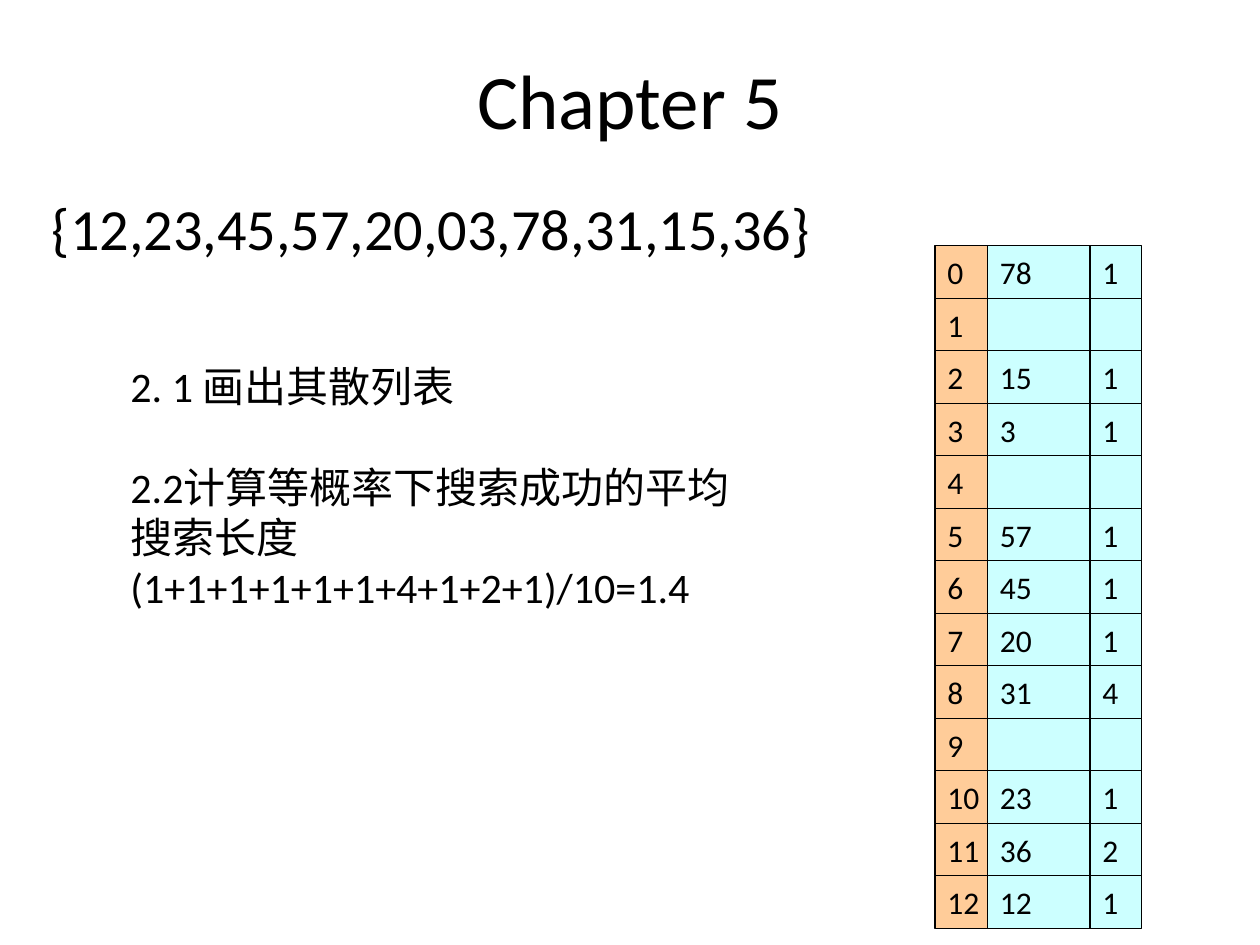
from dataclasses import dataclass

import pptx
import pptx.dml.color
import pptx.enum.shapes
import pptx.enum.text
import pptx.presentation
import pptx.shapes.group
import pptx.slide
import pptx.text.text
import pptx.util

Pt = pptx.util.Pt
PP_ALIGN = pptx.enum.text.PP_ALIGN
MSO_ANCHOR = pptx.enum.text.MSO_ANCHOR

BLACK = pptx.dml.color.RGBColor(0x00, 0x00, 0x00)
ORANGE = pptx.dml.color.RGBColor(0xFF, 0xCC, 0x99)
CYAN = pptx.dml.color.RGBColor(0xCC, 0xFF, 0xFF)

FONT = "Calibri"
TABLE_TOP = 140.5
ROW_HEIGHT = 30


@dataclass(frozen=True)
class TextBlock:
    left: float
    top: float
    width: float
    height: float
    size: float
    lines: tuple[str, ...]
    align: PP_ALIGN = PP_ALIGN.LEFT
    anchor: MSO_ANCHOR = MSO_ANCHOR.TOP


@dataclass(frozen=True)
class Column:
    left: float
    width: float
    fill: pptx.dml.color.RGBColor
    entries: tuple[str, ...]


TEXT_BLOCKS = (
    TextBlock(36, 11.5, 648, 90, 44, ("Chapter 5",), PP_ALIGN.CENTER, MSO_ANCHOR.MIDDLE),
    TextBlock(22.5, 106.5, 472, 50, 33.3, ("{12,23,45,57,20,03,78,31,15,36}",)),
    TextBlock(67.5, 202.5, 211, 36, 24, ("2. 1 画出其散列表",)),
    TextBlock(67.5, 260, 376.5, 93.5, 24,
              ("2.2计算等概率下搜索成功的平均搜索长度", "(1+1+1+1+1+1+4+1+2+1)/10=1.4")),
)

INDEX_COLUMN = Column(534.3, 30, ORANGE, tuple(str(slot) for slot in range(13)))
KEY_COLUMN = Column(564.3, 60, CYAN, ("78", "", "15", "3", "", "57", "45", "20",
                                      "31", "", "23", "36", "12"))
PROBE_COLUMN = Column(622.8, 29.5, CYAN, ("1", "", "1", "1", "", "1", "1", "1",
                                          "4", "", "1", "2", "1"))


def write_line(para: pptx.text.text._Paragraph, line: str, size: float, align: PP_ALIGN) -> None:
    para.text = line
    para.alignment = align
    para.font.name = FONT
    para.font.size = Pt(size)
    para.font.color.rgb = BLACK


def add_text(page: pptx.slide.Slide, block: TextBlock) -> None:
    box = page.shapes.add_textbox(Pt(block.left), Pt(block.top), Pt(block.width), Pt(block.height))
    frame = box.text_frame
    frame.word_wrap = True
    frame.vertical_anchor = block.anchor
    for number, line in enumerate(block.lines):
        para = frame.add_paragraph() if number else frame.paragraphs[0]
        write_line(para, line, block.size, block.align)


def add_column(group: pptx.shapes.group.GroupShape, column: Column) -> None:
    for row, entry in enumerate(column.entries):
        cell = group.shapes.add_shape(
            pptx.enum.shapes.MSO_SHAPE.RECTANGLE, Pt(column.left),
            Pt(TABLE_TOP + row * ROW_HEIGHT), Pt(column.width), Pt(ROW_HEIGHT))
        cell.shadow.inherit = False
        cell.fill.solid()
        cell.fill.fore_color.rgb = column.fill
        cell.line.color.rgb = BLACK
        cell.line.width = Pt(0.75)
        if entry:
            frame = cell.text_frame
            frame.word_wrap = False
            frame.vertical_anchor = MSO_ANCHOR.MIDDLE
            write_line(frame.paragraphs[0], entry, 18, PP_ALIGN.LEFT)


def build_deck() -> pptx.presentation.Presentation:
    deck = pptx.Presentation()
    deck.slide_width, deck.slide_height = Pt(720), Pt(540)
    page = deck.slides.add_slide(deck.slide_layouts[6])

    # Title, key sequence and questions
    for block in TEXT_BLOCKS:
        add_text(page, block)

    # Hash table: slots with keys, then probe counts
    for columns in ((KEY_COLUMN, INDEX_COLUMN), (PROBE_COLUMN,)):
        group = page.shapes.add_group_shape()
        for column in columns:
            add_column(group, column)
    return deck


if __name__ == "__main__":
    build_deck().save("out.pptx")
